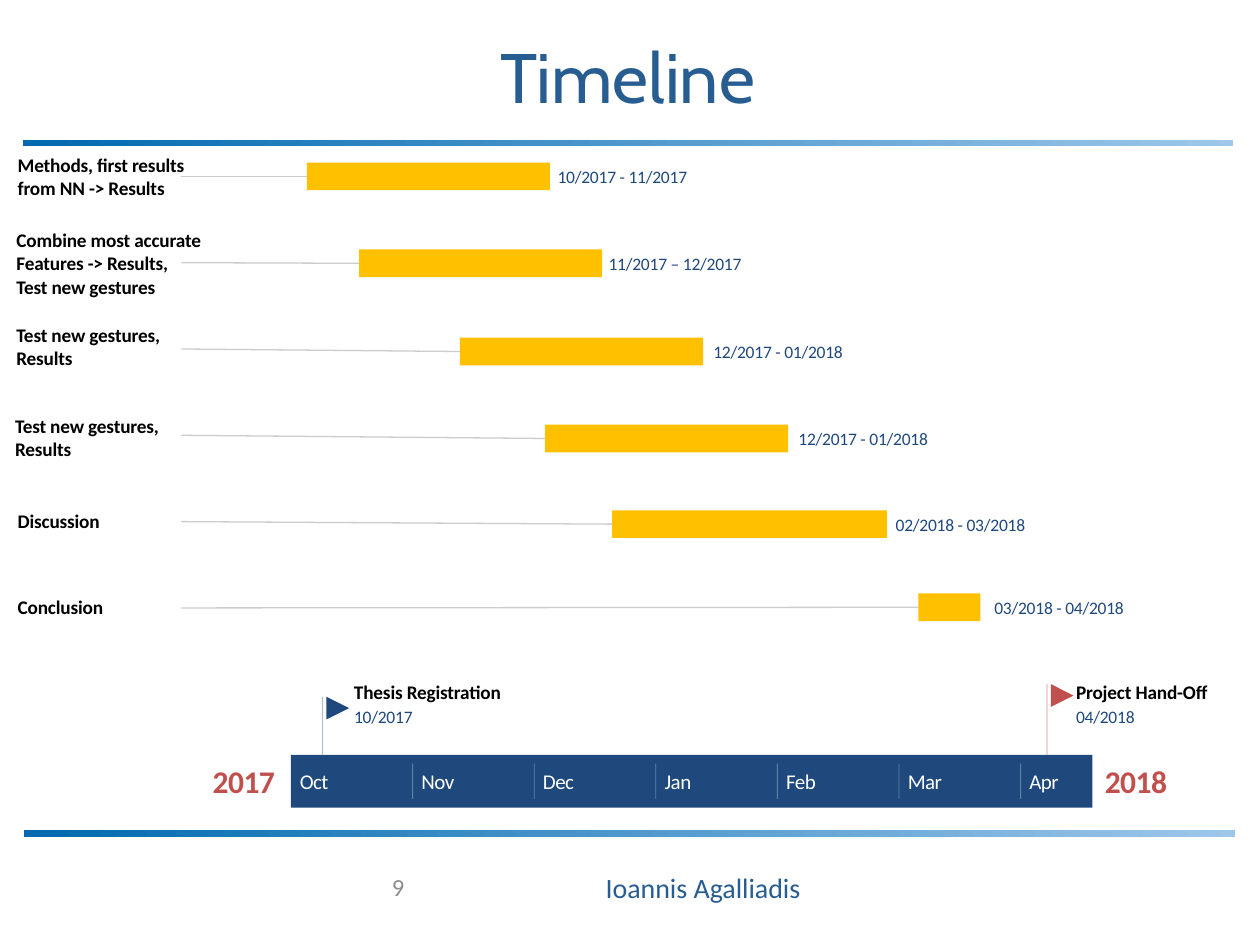
from pptx import Presentation
from pptx.dml.color import RGBColor
from pptx.enum.shapes import MSO_CONNECTOR, MSO_SHAPE
from pptx.enum.text import MSO_ANCHOR, MSO_AUTO_SIZE, PP_ALIGN
from pptx.oxml.ns import qn
from pptx.util import Inches, Pt
from lxml.etree import SubElement

NAVY, RED, AMBER, TITLE_BLUE = "1F497D", "C0504D", "FFC000", "275D90"
DATE_BLUE, GRAY, LEADER_GRAY = "1F497E", "8C8C8C", "CCCCCC"
WHITE, BLACK = "FFFFFF", "000000"

# The month axis is the horizontal grid; tasks are the rows above it.
AXIS_LEFT, AXIS_TOP, AXIS_W, AXIS_H = 2.31, 5.99, 6.36, 0.42
AXIS_MID = AXIS_TOP + AXIS_H / 2
MONTH_W = 0.965
MONTHS = ["Oct", "Nov", "Dec", "Jan", "Feb", "Mar", "Apr"]
BAR_H = 0.22
LEADER_TOP, LEADER_PITCH = 1.4, 0.685

# label, label (left, middle, width, lines), bar (first month, months, top),
# dates, gap before dates
TASKS = [
    ("Methods, first results from NN -> Results", (0.14, 1.4, 1.39, 2),
     (0.13, 2, 1.29), "10/2017 - 11/2017", 0.06),
    ("Combine most accurate Features -> Results,\nTest new gestures",
     (0.13, 2.09, 1.52, 3), (0.56, 2, 1.98), "11/2017 – 12/2017", 0.05),
    ("Test new gestures,\nResults", (0.13, 2.75, 1.37, 2),
     (1.39, 2, 2.68), "12/2017 - 01/2018", 0.08),
    ("Test new gestures,\nResults", (0.12, 3.47, 1.37, 2),
     (2.09, 2, 3.37), "12/2017 - 01/2018", 0.08),
    ("Discussion", (0.14, 4.13, 0.86, 1),
     (2.64, 2.26, 4.05), "02/2018 - 03/2018", 0.07),
    ("Conclusion", (0.14, 4.82, 0.86, 1),
     (5.16, 0.51, 4.71), "03/2018 - 04/2018", 0.11),
]
# text, dates, pole x, pole top, text left, width, colour
MILESTONES = [
    ("Thesis Registration", "10/2017", 2.56, 5.53, 2.81, 1.33, NAVY),
    ("Project Hand-Off", "04/2018", 8.31, 5.43, 8.54, 1.09, RED),
]


def rgb(hex_color):
    return RGBColor.from_string(hex_color)


def month_x(n):
    return AXIS_LEFT + n * MONTH_W


def add_block(s, kind, x, y, w, h, color):
    sp = s.shapes.add_shape(kind, Inches(x), Inches(y), Inches(w), Inches(h))
    sp.shadow.inherit = False
    sp.fill.solid()
    sp.fill.fore_color.rgb = rgb(color)
    sp.line.fill.background()
    return sp


def add_rule(s, x, y):
    sp = add_block(s, MSO_SHAPE.RECTANGLE, x, y, 9.61, 0.05, WHITE)
    sp.fill.gradient()
    sp.fill.gradient_angle = 0
    for stop, color in zip(sp.fill.gradient_stops, ("0069AF", "9EC7EA")):
        stop.color.rgb = rgb(color)


def add_line(s, x1, y1, x2, y2, color, width=0.75, opacity=100):
    """Straight line; opacity is a percentage."""
    cx = s.shapes.add_connector(MSO_CONNECTOR.STRAIGHT, Inches(x1), Inches(y1),
                                Inches(x2), Inches(y2))
    cx.line.color.rgb = rgb(color)
    cx.line.width = Pt(width)
    if opacity < 100:
        clr = next(cx.line._ln.iter(qn("a:srgbClr")))
        SubElement(clr, qn("a:alpha")).set("val", str(opacity * 1000))
    SubElement(cx._element.spPr, qn("a:effectLst"))
    return cx


def add_text(s, text, x, mid, w, h, size, color, bold=False, font="Calibri",
             align=PP_ALIGN.LEFT, spacing=-0.1, wrap=True):
    """Text without margins, centred vertically on mid; spacing in points."""
    tb = s.shapes.add_textbox(Inches(x), Inches(mid - h / 2), Inches(w), Inches(h))
    tf = tb.text_frame
    tf.margin_left = tf.margin_right = tf.margin_top = tf.margin_bottom = 0
    tf.word_wrap = wrap
    tf.auto_size = MSO_AUTO_SIZE.NONE
    tf.vertical_anchor = MSO_ANCHOR.MIDDLE
    tf.text = text
    for p in tf.paragraphs:
        p.alignment = align
        p.font.name, p.font.size, p.font.bold = font, Pt(size), bold
        p.font.color.rgb = rgb(color)
        if spacing:
            for r in p.runs:
                r._r.get_or_add_rPr().set("spc", str(round(spacing * 100)))


def add_label(s, text, x, mid, w, lines=1):
    add_text(s, text, x, mid, w, 0.185 * lines, 11, BLACK, bold=True)


def add_date(s, text, x, mid, w):
    add_text(s, text, x, mid, w, 0.17, 10, DATE_BLUE)


def add_task(s, row, label, label_box, bar_span, dates, gap):
    first, months, top = bar_span
    left, width, mid = month_x(first), months * MONTH_W, top + BAR_H / 2
    bar = add_block(s, MSO_SHAPE.RECTANGLE, left, top, width, BAR_H, AMBER)
    leader = add_line(s, 1.44, LEADER_TOP + row * LEADER_PITCH, left, mid, LEADER_GRAY)
    leader.end_connect(bar, 1)
    add_label(s, label, *label_box)
    add_date(s, dates, left + width + gap, mid, 1.24)


def add_axis(s):
    add_block(s, MSO_SHAPE.RECTANGLE, AXIS_LEFT, AXIS_TOP, AXIS_W, AXIS_H, NAVY)
    for i, month in enumerate(MONTHS):
        x = month_x(i)
        if i:
            add_line(s, x, AXIS_MID - 0.14, x, AXIS_MID + 0.14, WHITE, 0.5, 30)
        add_text(s, month, x + 0.07, AXIS_MID, 0.37, 0.2, 12, WHITE,
                 spacing=-0.3, wrap=False)
    for year, x in (("2017", 1.69), ("2018", 8.77)):
        add_text(s, year, x, AXIS_MID, 0.49, 0.3, 18, RED, bold=True,
                 align=PP_ALIGN.CENTER, spacing=-0.3, wrap=False)


def add_milestone(s, text, date, pole_x, top, x, w, color):
    add_line(s, pole_x, top, pole_x, AXIS_TOP, color, opacity=35)
    flag = add_block(s, MSO_SHAPE.FLOWCHART_MERGE, pole_x + 0.03, top, 0.18, 0.18, color)
    flag.rotation = 270
    add_label(s, text, x, 5.49, w)
    add_date(s, date, x, 5.69, 0.61)


def main():
    prs = Presentation()
    prs.slide_width, prs.slide_height = Inches(10), Inches(7.5)
    s = prs.slides.add_slide(prs.slide_layouts[6])

    add_rule(s, 0.19, 6.59)
    add_rule(s, 0.18, 1.11)
    add_text(s, "Timeline", 0.48, 0.6, 9, 0.94, 40, TITLE_BLUE, font="Cabin",
             align=PP_ALIGN.CENTER, spacing=0)
    add_text(s, "Ioannis Agalliadis", 3.41, 7.04, 4.34, 0.4, 16, TITLE_BLUE,
             align=PP_ALIGN.CENTER, spacing=0)
    add_text(s, "9", 0.98, 7.04, 2.23, 0.4, 14, GRAY, align=PP_ALIGN.RIGHT, spacing=0)

    for row, task in enumerate(TASKS):
        add_task(s, row, *task)
    for milestone in MILESTONES:
        add_milestone(s, *milestone)
    add_axis(s)
    prs.save("out.pptx")


if __name__ == "__main__":
    main()
